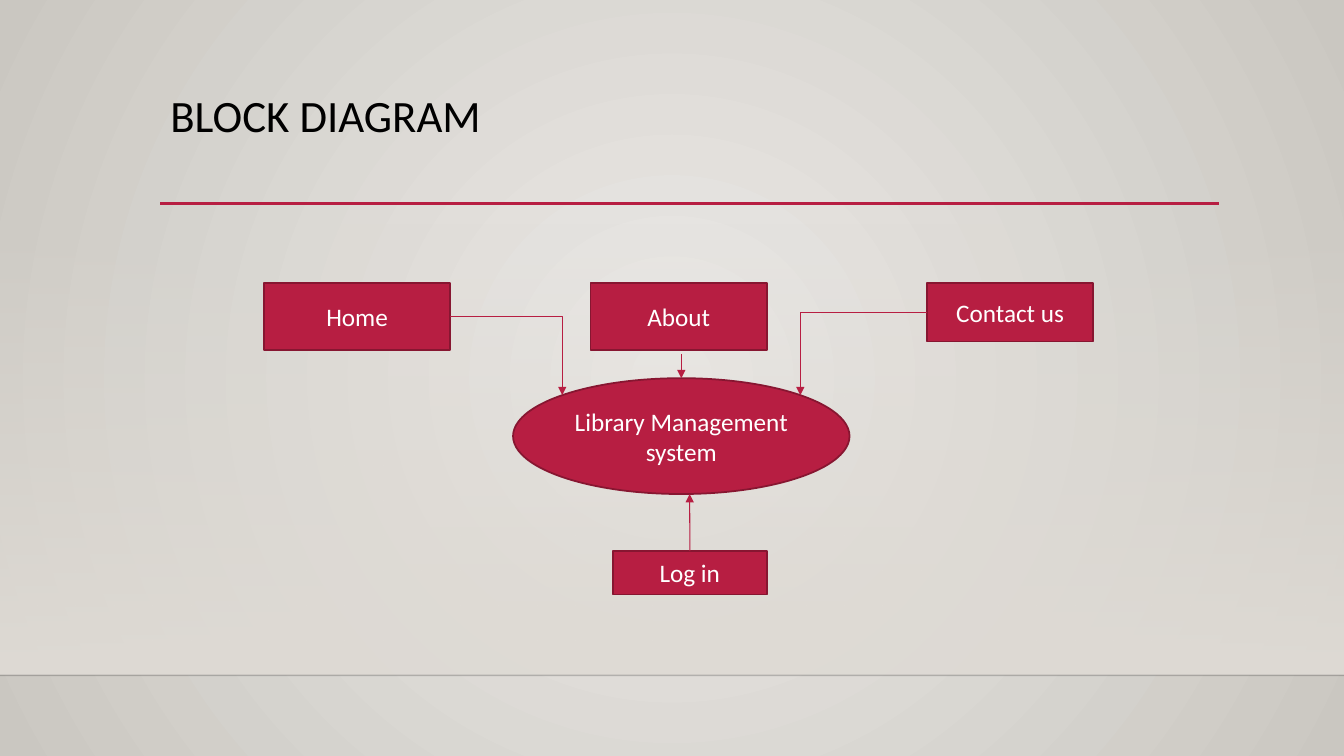
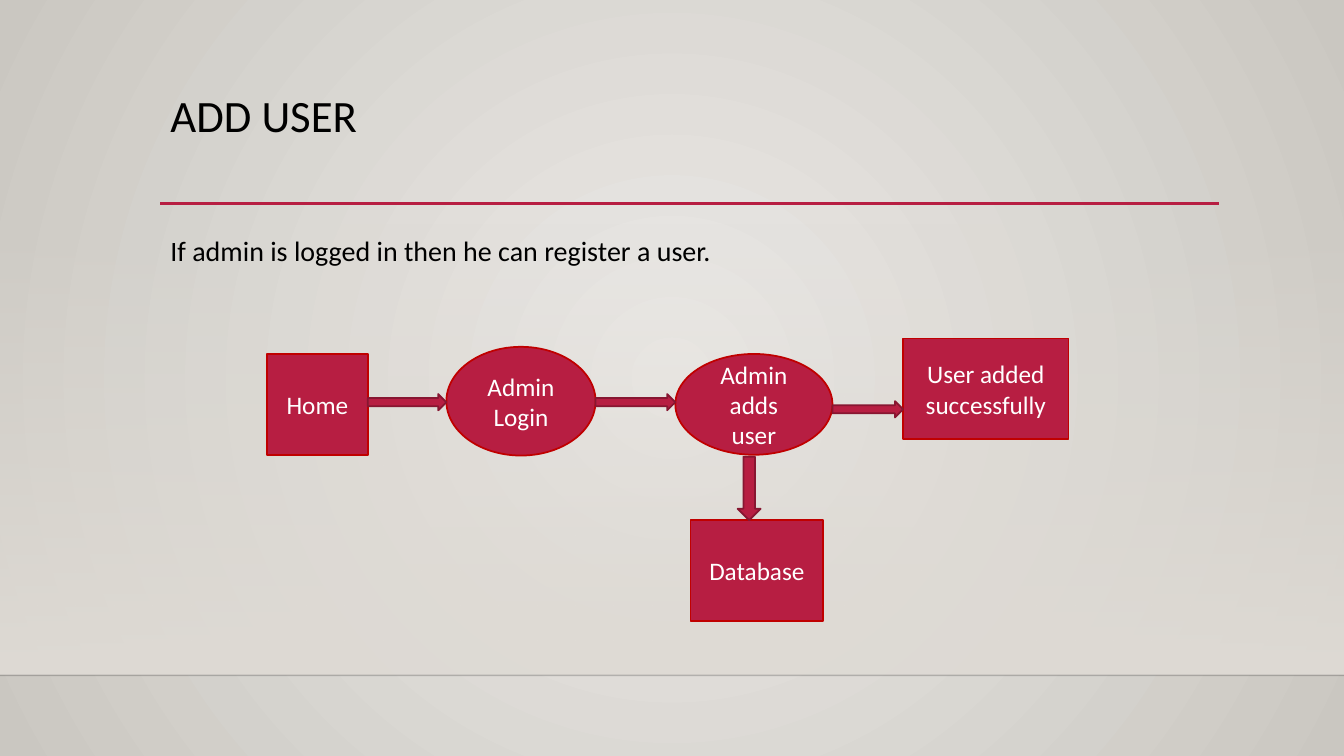
from dataclasses import dataclass
from lxml.etree import SubElement
from pptx import Presentation
from pptx.dml.color import RGBColor
from pptx.enum.shapes import MSO_CONNECTOR, MSO_SHAPE
from pptx.enum.text import MSO_ANCHOR, MSO_AUTO_SIZE, PP_ALIGN
from pptx.oxml import parse_xml
from pptx.oxml.ns import nsdecls, qn
from pptx.util import Cm, Pt


@dataclass(frozen=True)
class Theme:
    font: str = "Calibri"
    ink: str = "000000"
    white: str = "FFFFFF"
    red: str = "B71E42"
    dark: str = "871631"
    edge: str = "C00000"
    rule: str = "000001"
    light: str = "ECEAE7"
    grey: str = "CAC7C1"
    sand: str = "DFDBD5"
    title: int = 32
    body: int = 20
    label: int = 18


T = Theme()
RECT, OVAL = MSO_SHAPE.RECTANGLE, MSO_SHAPE.OVAL
STRAIGHT, ELBOW = MSO_CONNECTOR.STRAIGHT, MSO_CONNECTOR.ELBOW


def block(slide, kind, at, edge, text=""):
    """Add a red shape, with a centred label if text is given."""
    shape = slide.shapes.add_shape(kind, *map(Cm, at))
    shape.shadow.inherit = False
    shape.fill.solid()
    shape.fill.fore_color.rgb = RGBColor.from_string(T.red)
    shape.line.color.rgb = RGBColor.from_string(edge)
    shape.line.width = Pt(1.25)
    if text:
        frame = shape.text_frame
        frame.text = text
        frame.word_wrap = True
        frame.vertical_anchor = MSO_ANCHOR.MIDDLE
        para = frame.paragraphs[0]
        para.alignment = PP_ALIGN.CENTER
        font = para.runs[0].font
        font.name, font.size = T.font, Pt(T.label)
        font.color.rgb = RGBColor.from_string(T.white)
    return shape


def wire(slide, ends, color, width, kind=STRAIGHT, arrow=False):
    """Add a connector without shadow, with an arrowhead if asked."""
    line = slide.shapes.add_connector(kind, *map(Cm, ends))
    line.line.color.rgb = RGBColor.from_string(color)
    line.line.width = Pt(width)
    props = line.element.spPr
    if kind == ELBOW:
        props.find(qn("a:prstGeom")).set("prst", "bentConnector2")
    if arrow:
        SubElement(props.find(qn("a:ln")), qn("a:tailEnd"), type="triangle")
    SubElement(props, qn("a:effectLst"))
    return line


deck = Presentation()
deck.slide_width, deck.slide_height = Cm(33.87), Cm(19.05)
master = deck.slide_master
first = deck.slides.add_slide(deck.slide_layouts[5])
second = deck.slides.add_slide(deck.slide_layouts[1])

# Master: background, band and rules
master.background.fill.solid()
band = block(first, RECT, (0, 5.61, 33.87, 11.4), T.sand)
band.line.fill.background()
floor = wire(first, (0, 17.02, 33.87, 17.02), T.rule, 1)
tint = floor.element.spPr.find(".//" + qn("a:srgbClr"))
SubElement(tint, qn("a:alpha"), val="20000")
rule = wire(first, (4.04, 5.13, 30.73, 5.13), T.red, 2.5)
for spot, part in enumerate((band, floor, rule), start=2):
    master.shapes.element.insert(spot, part.element)

# Gradients of background and band
circle = '<a:path path="circle"><a:fillToRect l="50000" t="50000" r="50000" b="50000"/></a:path>'
down = '<a:lin ang="5400000" scaled="0"/>'
for props, start, alpha, stop, aim in (
    (master.element.find(".//" + qn("p:bgPr")), T.light, 100000, T.grey, circle),
    (band.element.spPr, T.sand, 0, T.sand, down),
):
    fade = parse_xml(
        f'<a:gradFill {nsdecls("a")} rotWithShape="1"><a:gsLst>'
        f'<a:gs pos="0"><a:srgbClr val="{start}"><a:alpha val="{alpha}"/></a:srgbClr></a:gs>'
        f'<a:gs pos="100000"><a:srgbClr val="{stop}"/></a:gs>'
        f"</a:gsLst>{aim}</a:gradFill>"
    )
    props.replace(props.find(qn("a:solidFill")), fade)

# Titles and body text
head = (4.04, 2.24, 26.67, 2.92)
main = (4.04, 5.59, 26.67, 10.77)
for holder, text, at, size, space in (
    (first.shapes.title, "BLOCK DIAGRAM", head, T.title, 0.9),
    (second.shapes.title, "ADD USER", head, T.title, 0.9),
    (second.placeholders[1], "If admin is logged in then he can register a user.",
     main, T.body, 1.2),
):
    for key, val in zip(("left", "top", "width", "height"), at):
        setattr(holder, key, Cm(val))
    frame = holder.text_frame
    frame.text = text
    look = {"word_wrap": True, "auto_size": MSO_AUTO_SIZE.NONE,
            "vertical_anchor": MSO_ANCHOR.TOP}
    for key, val in look.items():
        setattr(frame, key, val)
    para = frame.paragraphs[0]
    props = para._p.get_or_add_pPr()
    props.set("marL", "0")
    props.set("indent", "0")
    SubElement(props, qn("a:buNone"))
    look = {"alignment": PP_ALIGN.LEFT, "line_spacing": space, "space_before": Pt(0)}
    for key, val in look.items():
        setattr(para, key, val)
    font = para.runs[0].font
    font.name, font.size = T.font, Pt(size)
    font.color.rgb = RGBColor.from_string(T.ink)

# Slide 1: block diagram
hub = block(first, OVAL, (12.93, 9.53, 8.48, 2.92), T.dark, "Library Management system")
for text, at in (
    ("Home", (6.65, 7.14, 4.7, 1.68)),
    ("About", (14.88, 7.14, 4.45, 1.68)),
    ("Contact us", (23.37, 7.14, 4.17, 1.47)),
):
    block(first, RECT, at, T.dark, text)
login = block(first, RECT, (15.44, 13.89, 3.89, 1.09), T.dark, "Log in")

for ends in ((11.35, 7.98, 14.17, 9.96), (23.37, 7.87, 20.17, 9.96)):
    wire(first, ends, T.red, 0.75, ELBOW, arrow=True)
drop = wire(first, (17.17, 8.92, 17.17, 9.53), T.red, 0.75, arrow=True)
drop.end_connect(hub, 0)
rise = wire(first, (17.38, 13.89, 17.38, 12.45), T.red, 0.75, arrow=True)
rise.begin_connect(login, 0)

# Slide 2: steps from left to right, then the store below
steps = (
    ("Home", RECT, (6.73, 8.92, 2.54, 2.54)),
    ("Admin Login", OVAL, (11.25, 8.74, 3.76, 2.74)),
    ("Admin adds user", OVAL, (17.02, 8.92, 3.96, 2.54)),
    ("User added successfully", RECT, (22.76, 8.53, 4.17, 2.54)),
    ("Database", RECT, (17.4, 13.11, 3.35, 2.54)),
)
for text, kind, at in steps:
    block(second, kind, at, T.edge, text)

# Block arrows fill the gaps between steps
for (_, _, here), (_, _, there), top in zip(steps, steps[1:4], (9.93, 9.93, 10.11)):
    left = here[0] + here[2]
    block(second, MSO_SHAPE.RIGHT_ARROW, (left, top, there[0] - left, 0.41), T.dark)
block(second, MSO_SHAPE.DOWN_ARROW, (18.59, 11.51, 0.58, 1.6), T.dark)

deck.save("out.pptx")
